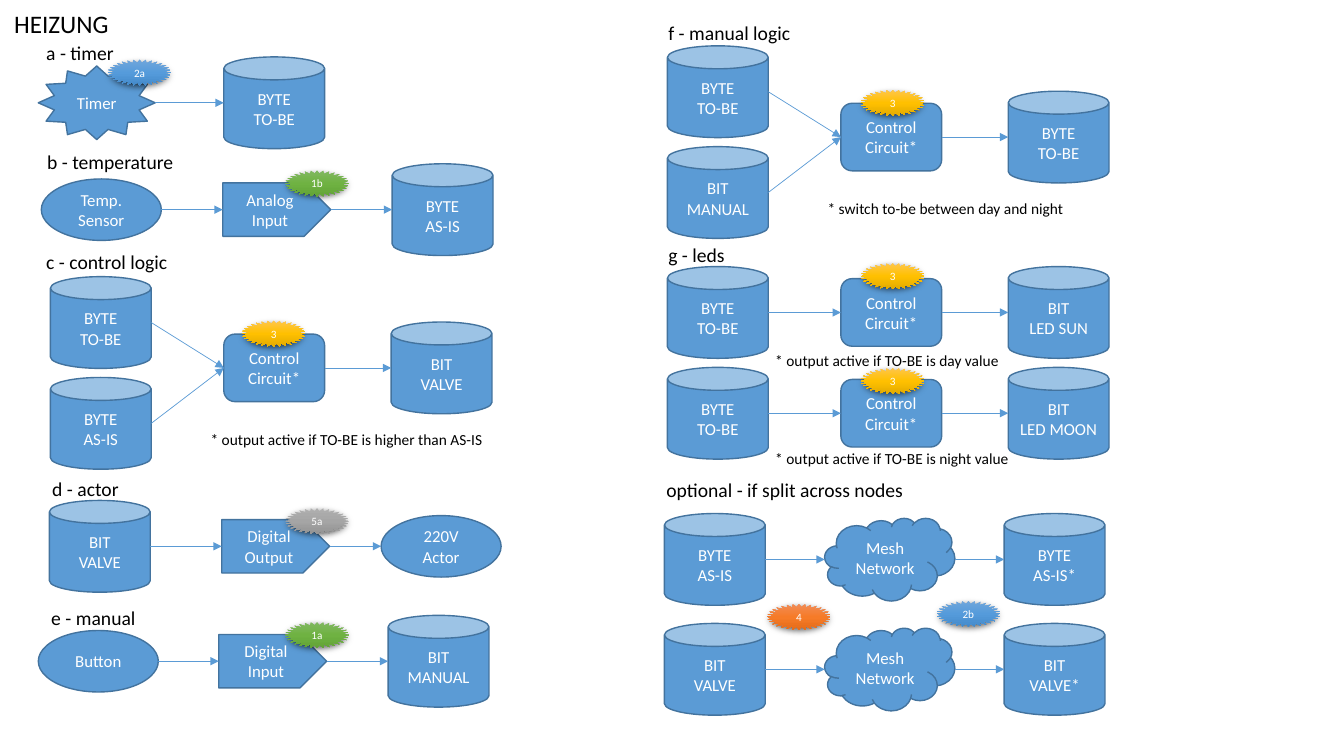
from dataclasses import dataclass
from lxml import etree
from pptx import Presentation
from pptx.dml.color import RGBColor
from pptx.enum.shapes import MSO_CONNECTOR, MSO_SHAPE
from pptx.enum.text import MSO_ANCHOR, MSO_AUTO_SIZE, PP_ALIGN
from pptx.oxml import parse_xml
from pptx.oxml.ns import nsdecls, qn
from pptx.util import Inches, Pt


@dataclass(frozen=True)
class Theme:
    font: str = "Calibri"
    ink: str = "000000"
    white: str = "FFFFFF"
    node: str = "5B9BD5"
    edge: str = "43739E"
    title: int = 18
    heading: int = 14
    body: int = 12
    note: int = 11
    badge: int = 8
    blue: tuple = ("71A6DB", "559BDB", "448ACA")
    green: tuple = ("81B861", "6FB242", "62A336")
    gold: tuple = ("FFC64B", "FFC000", "E3AB00")
    grey: tuple = ("AFAFAF", "A5A5A5", "939393")
    orange: tuple = ("F18C57", "F67B28", "E56C19")


T = Theme()

KINDS = {
    "store": (MSO_SHAPE.CAN, 1, 0.91),
    "timer": (MSO_SHAPE.STAR_12_POINT, 1.16, 0.73),
    "device": (MSO_SHAPE.OVAL, 1.19, 0.61),
    "port": (MSO_SHAPE.PENTAGON, 1.07, 0.53),
    "control": (MSO_SHAPE.FLOWCHART_ALTERNATE_PROCESS, 1, 0.67),
    "mesh": (MSO_SHAPE.CLOUD, 1.29, 0.82),
}
BADGE_W, BADGE_H = 0.63, 0.26

TITLE = ("HEIZUNG", 0.04, 0.03, 1.15, 0.4)

HEADINGS = [
    ("a - timer", 0.36, 0.36, 0.88),
    ("b - temperature", 0.37, 1.44, 1.46),
    ("c - control logic", 0.36, 2.43, 1.41),
    ("d - actor", 0.42, 4.68, 0.87),
    ("e - manual", 0.41, 5.96, 1.05),
    ("f - manual logic", 6.53, 0.16, 1.42),
    ("g - leds", 6.53, 2.36, 0.77),
    ("optional - if split across nodes", 6.51, 4.69, 2.58),
]
NOTES = [
    ("* output active if TO-BE is higher than AS-IS", 1.99, 4.22, 3),
    ("* switch to-be between day and night", 8.11, 1.93, 2.56),
    ("* output active if TO-BE is day value", 7.59, 3.43, 2.44),
    ("* output active if TO-BE is night value", 7.59, 4.41, 2.61),
]

# Each flow: middle height, inputs (kind, left, offset, text), steps (kind, left, text)
FLOWS = [
    (1.02, [("timer", 0.38, 0, "Timer")], [("store", 2.22, "BYTE\nTO-BE")]),
    (2.08, [("device", 0.41, 0, "Temp. Sensor")],
     [("port", 2.21, "Analog Input"), ("store", 3.89, "BYTE\nAS-IS")]),
    (3.65, [("store", 0.5, -0.45, "BYTE\nTO-BE"), ("store", 0.5, 0.55, "BYTE\nAS-IS")],
     [("control", 2.22, "Control Circuit*"), ("store", 3.88, "BIT\nVALVE")]),
    (5.42, [("store", 0.49, 0, "BIT\nVALVE")],
     [("port", 2.2, "Digital Output"), ("device", 3.78, "220V\nActor")]),
    (6.56, [("device", 0.38, 0, "Button")],
     [("port", 2.17, "Digital Input"), ("store", 3.85, "BIT\nMANUAL")]),
    (1.36, [("store", 6.62, -0.45, "BYTE\nTO-BE"), ("store", 6.62, 0.55, "BIT MANUAL")],
     [("control", 8.34, "Control Circuit*"), ("store", 10, "BYTE\nTO-BE")]),
    (3.1, [("store", 6.62, 0, "BYTE\nTO-BE")],
     [("control", 8.34, "Control Circuit*"), ("store", 10, "BIT\nLED SUN")]),
    (4.1, [("store", 6.62, 0, "BYTE\nTO-BE")],
     [("control", 8.34, "Control Circuit*"), ("store", 10, "BIT\nLED MOON")]),
    (5.55, [("store", 6.59, 0, "BYTE\nAS-IS")],
     [("mesh", 8.18, "Mesh\nNetwork"), ("store", 9.96, "BYTE\nAS-IS*")]),
    (6.64, [("store", 6.59, 0, "BIT\nVALVE")],
     [("mesh", 8.18, "Mesh\nNetwork"), ("store", 9.96, "BIT\nVALVE*")]),
]
BADGES = [
    ("2a", 1.07, 0.59, T.blue), ("1b", 2.83, 1.69, T.green),
    ("3", 2.4, 3.18, T.gold), ("5a", 2.83, 5.04, T.grey),
    ("1a", 2.83, 6.17, T.green), ("3", 8.54, 0.89, T.gold),
    ("3", 8.54, 2.61, T.gold), ("3", 8.54, 3.65, T.gold),
    ("2b", 9.29, 5.96, T.blue), ("4", 7.61, 5.99, T.orange),
]


def rgb(value):
    return RGBColor.from_string(value)


def write(sp, text, size=T.body, color=T.white, align=PP_ALIGN.CENTER,
          anchor=MSO_ANCHOR.MIDDLE, wrap=True):
    tf = sp.text_frame
    tf.word_wrap = wrap
    tf.vertical_anchor = anchor
    tf.auto_size = MSO_AUTO_SIZE.NONE if wrap else MSO_AUTO_SIZE.SHAPE_TO_FIT_TEXT
    for i, line in enumerate(text.split("\n")):
        p = tf.add_paragraph() if i else tf.paragraphs[0]
        p.alignment = align
        p.line_spacing = 1.0
        r = p.add_run()
        r.text = line
        r.font.name = T.font
        r.font.size = Pt(size)
        r.font.color.rgb = rgb(color)


def label(sp, text, size):
    write(sp, text, size=size, color=T.ink, align=PP_ALIGN.LEFT,
          anchor=MSO_ANCHOR.TOP, wrap=False)


def add_node(kind, x, mid, text):
    preset, w, h = KINDS[kind]
    sp = s.shapes.add_shape(preset, Inches(x), Inches(mid - h / 2), Inches(w), Inches(h))
    sp.shadow.inherit = False
    sp.fill.solid()
    sp.fill.fore_color.rgb = rgb(T.node)
    sp.line.color.rgb = rgb(T.edge)
    sp.line.width = Pt(1)
    write(sp, text)
    return x, x + w, mid


def add_arrow(start, end):
    cx = s.shapes.add_connector(MSO_CONNECTOR.STRAIGHT, Inches(start[1]), Inches(start[2]),
                                Inches(end[0]), Inches(end[2]))
    cx.line.color.rgb = rgb(T.node)
    cx.line.width = Pt(0.5)
    etree.SubElement(cx.line._get_or_add_ln(), qn("a:tailEnd"), type="triangle")
    etree.SubElement(cx._element.spPr, qn("a:effectLst"))


def add_badge(text, x, y, colors):
    sp = s.shapes.add_shape(MSO_SHAPE.STAR_32_POINT, Inches(x), Inches(y),
                            Inches(BADGE_W), Inches(BADGE_H))
    sp.line.fill.background()
    stops = "".join(f'<a:gs pos="{i * 50000}"><a:srgbClr val="{c}"/></a:gs>'
                    for i, c in enumerate(colors))
    pr = sp._element.spPr
    pr.find(qn("a:ln")).addprevious(parse_xml(
        f'<a:gradFill {nsdecls("a")} rotWithShape="1"><a:gsLst>{stops}</a:gsLst>'
        '<a:lin ang="5400000" scaled="0"/></a:gradFill>'))
    pr.append(parse_xml(
        f'<a:effectLst {nsdecls("a")}><a:outerShdw blurRad="{Pt(4.5)}" dist="{Pt(1.5)}" '
        'dir="5400000" algn="ctr" rotWithShape="0"><a:srgbClr val="000000">'
        '<a:alpha val="63000"/></a:srgbClr></a:outerShdw></a:effectLst>'))
    write(sp, text, size=T.badge)


prs = Presentation()
prs.slide_width, prs.slide_height = Inches(13.33), Inches(7.5)
s = prs.slides.add_slide(prs.slide_layouts[5])

text, *box = TITLE
title = s.shapes.title
title.left, title.top, title.width, title.height = map(Inches, box)
label(title, text, T.title)

for mid, inputs, steps in FLOWS:
    sources = [add_node(kind, x, mid + dy, text) for kind, x, dy, text in inputs]
    for kind, x, text in steps:
        node = add_node(kind, x, mid, text)
        for source in sources:
            add_arrow(source, node)
        sources = [node]

for items, size, h in ((HEADINGS, T.heading, 0.34), (NOTES, T.note, 0.29)):
    for text, x, y, w in items:
        label(s.shapes.add_textbox(Inches(x), Inches(y), Inches(w), Inches(h)), text, size)

for badge in BADGES:
    add_badge(*badge)

prs.save("out.pptx")
